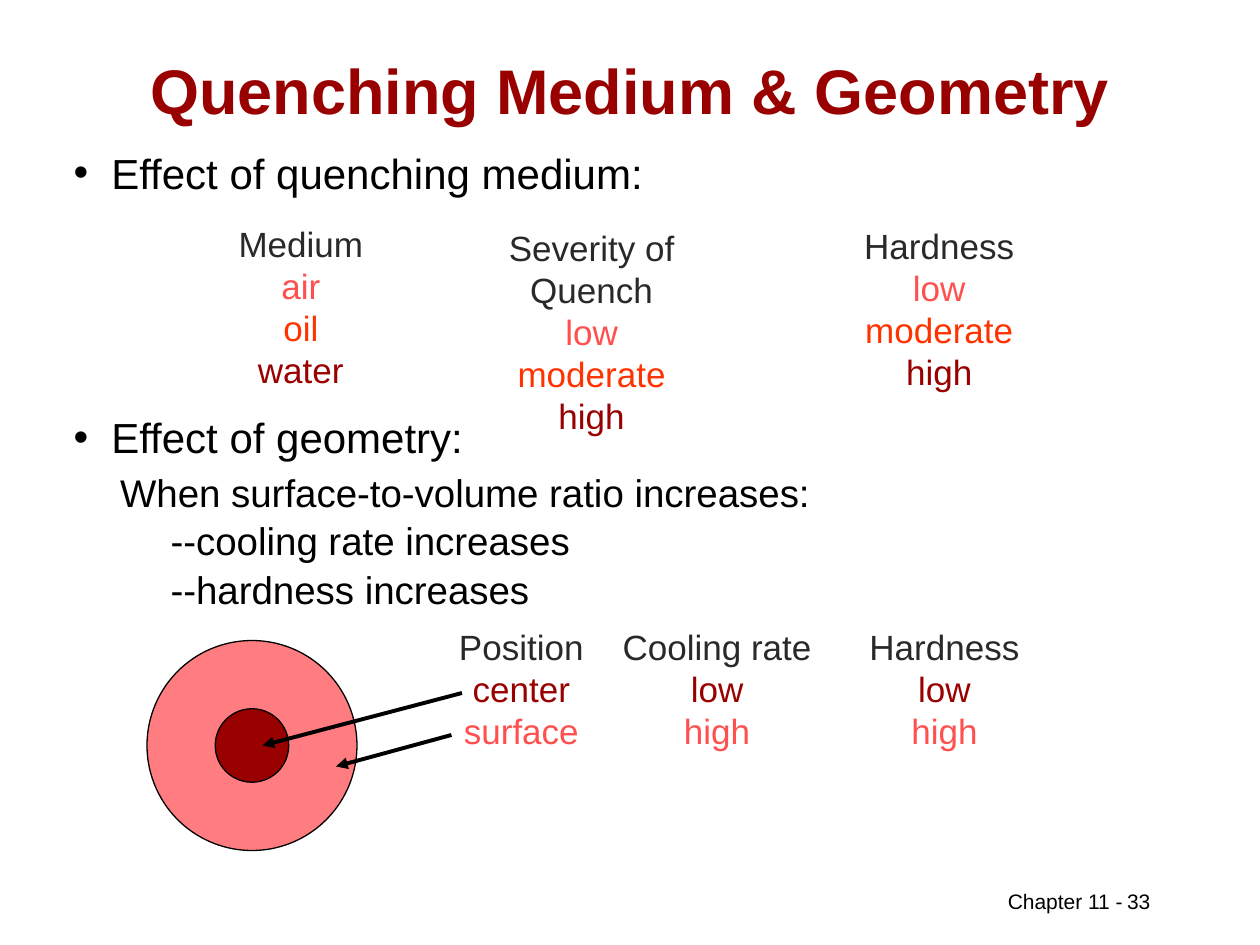
from lxml.etree import SubElement
from pptx import Presentation
from pptx.dml.color import RGBColor
from pptx.enum.shapes import MSO_CONNECTOR, MSO_SHAPE
from pptx.enum.text import MSO_ANCHOR, MSO_AUTO_SIZE, PP_ALIGN
from pptx.oxml.ns import qn
from pptx.util import Inches, Pt

COLORS = {
    "black": "000000", "heading": "292929", "dark red": "990000",
    "orange": "FF3300", "red": "FF5050", "pink": "FF7C80",
}


def grid(*cells):
    """Turn cells of a grid with twelve cells to the inch into lengths."""
    return [Inches(cell / 12) for cell in cells]


def write_text(frame, text, size=20, color="black", bold=False, align=PP_ALIGN.LEFT,
               before=0, margin=0, bullet=None):
    paragraph = frame.paragraphs[0]
    if paragraph.runs:
        paragraph = frame.add_paragraph()
    properties = paragraph._p.get_or_add_pPr()
    properties.set("marL", str(Inches(margin)))
    properties.set("indent", str(-Inches(margin) if bullet else 0))
    if bullet:
        SubElement(properties, qn("a:buChar"), char=bullet)
    else:
        SubElement(properties, qn("a:buNone"))
    paragraph.alignment = align
    paragraph.line_spacing = 1.0
    paragraph.space_before = Pt(before)
    run = paragraph.add_run()
    run.text = text
    run.font.name = "Arial"
    run.font.size = Pt(size)
    run.font.bold = bold
    run.font.color.rgb = RGBColor.from_string(COLORS[color])


presentation = Presentation()
presentation.slide_width, presentation.slide_height = grid(120, 90)
slide = presentation.slides.add_slide(presentation.slide_layouts[3])
title, medium_list, geometry_list = slide.placeholders

# Title
title.left, title.top, title.width, title.height = grid(9, 5, 102, 7)
title.text_frame.auto_size = MSO_AUTO_SIZE.NONE
title.text_frame.vertical_anchor = MSO_ANCHOR.MIDDLE
write_text(title.text_frame, "Quenching Medium & Geometry", size=36,
           color="dark red", bold=True, align=PP_ALIGN.CENTER)

# Bulleted lists
for body, top, height, heading in [
    (medium_list, 14, 4.8, "Effect of quenching medium:"),
    (geometry_list, 39.2, 18.4, "Effect of geometry:"),
]:
    body.left, body.top, body.width, body.height = grid(7, top, 85, height)
    frame = body.text_frame
    frame.auto_size = MSO_AUTO_SIZE.NONE
    frame.vertical_anchor = MSO_ANCHOR.TOP
    frame.margin_left = frame.margin_right = frame.margin_top = frame.margin_bottom = 0
    write_text(frame, heading, size=24, margin=0.3, bullet="•")

for text, margin, before in [
    ("When surface-to-volume ratio increases:", 0.37, 4),
    ("--cooling rate increases", 0.77, 1.2),
    ("--hardness increases", 0.77, 1.2),
]:
    write_text(geometry_list.text_frame, text, size=22, margin=margin, before=before)

# Columns of centred words: heading first, then one colour a row
medium_colors = ["heading", "red", "orange", "dark red"]
position_colors = ["heading", "dark red", "red"]
for left, top, width, words, colors in [
    (21.5, 20.6, 14.3, ["Medium", "air", "oil", "water"], medium_colors),
    (41, 21, 30.7, ["Severity of Quench", "low", "moderate", "high"], medium_colors),
    (81.1, 20.8, 16.7, ["Hardness", "low", "moderate", "high"], medium_colors),
    (42.5, 59, 14.3, ["Position", "center", "surface"], position_colors),
    (58.1, 59, 20.4, ["Cooling rate", "low", "high"], position_colors),
    (81.6, 59, 16.7, ["Hardness", "low", "high"], position_colors),
]:
    column = slide.shapes.add_textbox(*grid(left, top, width, 4.2 * len(words)))
    column.text_frame.word_wrap = False
    for word, color in zip(words, colors):
        write_text(column.text_frame, word, color=color, align=PP_ALIGN.CENTER)

# Cross-section of the round bar: surface and centre
for left, top, diameter, color in [(14, 61, 20, "pink"), (20.5, 67.5, 7, "dark red")]:
    circle = slide.shapes.add_shape(MSO_SHAPE.OVAL, *grid(left, top, diameter, diameter))
    circle.shadow.inherit = False
    circle.fill.solid()
    circle.fill.fore_color.rgb = RGBColor.from_string(COLORS[color])
    circle.line.color.rgb = RGBColor.from_string(COLORS["black"])
    circle.line.width = Pt(0.75)

# Arrows from the position names to the bar
for ends in [(44, 66, 25, 71), (43, 70, 32, 73)]:
    arrow = slide.shapes.add_connector(MSO_CONNECTOR.STRAIGHT, *grid(*ends))
    arrow.line.color.rgb = RGBColor.from_string(COLORS["black"])
    arrow.line.width = Pt(2.25)
    SubElement(arrow.line._get_or_add_ln(), qn("a:tailEnd"), type="triangle")
    SubElement(arrow._element.spPr, qn("a:effectLst"))

# Chapter and page number
for left, width, text, align in [
    (94.8, 13.4, "Chapter 11 -", PP_ALIGN.LEFT),
    (100.7, 15.5, "33", PP_ALIGN.CENTER),
]:
    footer = slide.shapes.add_textbox(*grid(left, 84, width, 3.6))
    footer.text_frame.word_wrap = False
    write_text(footer.text_frame, text, size=12, align=align)

presentation.save("out.pptx")
